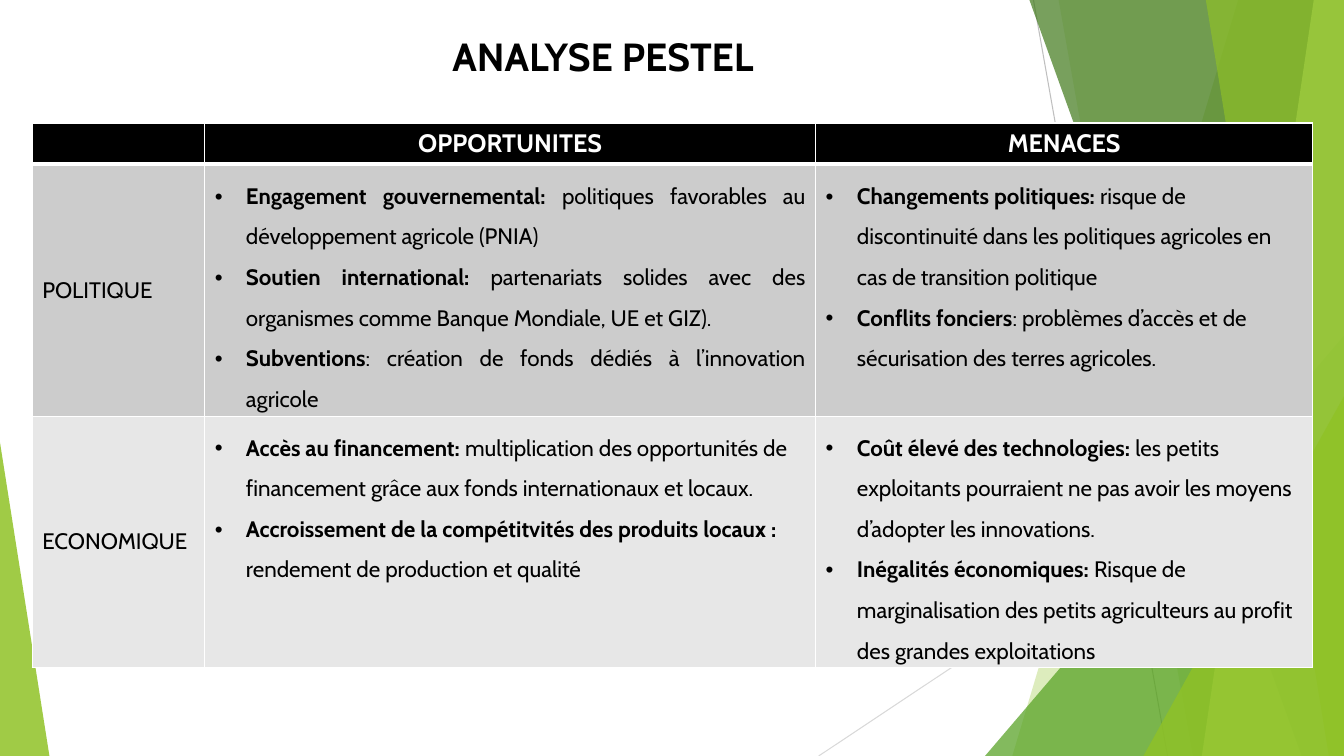
"""Build the ANALYSE PESTEL slide: a table of opportunities and threats over green facets."""
import pptx
import pptx.dml.color
import pptx.enum.shapes
import pptx.enum.text
import pptx.oxml.ns
import pptx.util
from lxml import etree

Inches = pptx.util.Inches
ALIGN = pptx.enum.text.PP_ALIGN
ANCHOR = pptx.enum.text.MSO_ANCHOR
SHAPES = pptx.enum.shapes.MSO_SHAPE

WIDTH, HEIGHT = 13.33, 7.5
FONT = "Cabin"
TITLE = "ANALYSE PESTEL"
HEADINGS = ["", "OPPORTUNITES", "MENACES"]
FACTORS = [
    {
        "name": "POLITIQUE", "fill": "CCCCCC", "align": ALIGN.JUSTIFY,
        "opportunities": [
            ("Engagement gouvernemental: ", "politiques favorables au développement agricole (PNIA)"),
            ("Soutien international: ",
             "partenariats solides avec des organismes comme Banque Mondiale, UE et GIZ)."),
            ("Subventions", ": création de fonds dédiés à l’innovation agricole"),
        ],
        "threats": [
            ("Changements politiques: ",
             "risque de discontinuité dans les politiques agricoles en cas de transition politique"),
            ("Conflits fonciers", ": problèmes d’accès et de sécurisation des terres agricoles."),
        ],
    },
    {
        "name": "ECONOMIQUE", "fill": "E7E7E7", "align": ALIGN.LEFT,
        "opportunities": [
            ("Accès au financement: ",
             "multiplication des opportunités de financement grâce aux fonds internationaux et locaux."),
            ("Accroissement de la compétitvités des produits locaux : ",
             "rendement de production et qualité"),
        ],
        "threats": [
            ("Coût élevé des technologies: ",
             "les petits exploitants pourraient ne pas avoir les moyens d’adopter les innovations."),
            ("Inégalités économiques: ",
             "Risque de marginalisation des petits agriculteurs au profit des grandes exploitations"),
        ],
    },
]
COLUMN_WIDTHS = [1.71, 6.06, 4.93]
ROW_HEIGHTS = [0.41, 2.49, 2.49]

RAYS = [((10.25, 0), (11.58, HEIGHT), "BFBFBF"), ((WIDTH, 4.03), (8.12, HEIGHT), "D9D9D9")]
FACETS = [
    {"top_x": 12.28, "bottom_x": 10.04, "color": "90C226", "opacity": 30},
    {"top_x": 10.5, "bottom_x": 11.83, "color": "90C226", "opacity": 20},
    {"box": (9.77, 3.33, 3.56), "apex": 1, "color": "54A021", "opacity": 72},
    {"top_x": 10.21, "bottom_x": 12.91, "color": "3F7819", "opacity": 70},
    {"top_x": 13.03, "bottom_x": 11.92, "color": "C0E474", "opacity": 70},
    {"top_x": 11.96, "bottom_x": 13.18, "color": "90C226", "opacity": 65},
    {"box": (11.34, 3.93, 1.99), "apex": 1, "color": "90C226", "opacity": 80},
    {"box": (0, 4.39, 0.49), "apex": 0, "color": "90C226", "opacity": 85},
]


def rgb(color):
    return pptx.dml.color.RGBColor.from_string(color)


def add_element(parent, tag, **attributes):
    return etree.SubElement(parent, pptx.oxml.ns.qn(tag), attributes)


def paint(part, color):
    part.fill.solid()
    part.fill.fore_color.rgb = rgb(color)


def write(frame, paragraphs, size=16, color="000000", align=ALIGN.LEFT, bullets=False):
    """Fill a text frame with paragraphs made of (text, bold) runs."""
    for index, runs in enumerate(paragraphs):
        paragraph = frame.add_paragraph() if index else frame.paragraphs[0]
        paragraph.alignment = align
        if bullets:
            paragraph.line_spacing = 1.5
            properties = paragraph._p.get_or_add_pPr()
            properties.set("marL", str(Inches(0.31)))
            properties.set("indent", str(-Inches(0.31)))
            add_element(properties, "a:buFont", typeface="Arial")
            add_element(properties, "a:buChar", char="•")
        for text, bold in runs:
            run = paragraph.add_run()
            run.text = text
            run.font.name = FONT
            run.font.size = pptx.util.Pt(size)
            run.font.bold = bold
            run.font.color.rgb = rgb(color)


def add_facet(shapes, facet):
    if "box" in facet:
        left, top, width = facet["box"]
        shape = shapes.add_shape(SHAPES.ISOSCELES_TRIANGLE, Inches(left), Inches(top),
                                 Inches(width), Inches(HEIGHT - top))
        shape.adjustments[0] = facet["apex"]
    else:
        corners = [(WIDTH, 0), (WIDTH, HEIGHT), (facet["bottom_x"], HEIGHT)]
        outline = shapes.build_freeform(Inches(facet["top_x"]), 0)
        outline.add_line_segments([(Inches(x), Inches(y)) for x, y in corners])
        shape = outline.convert_to_shape()
    shape.shadow.inherit = False
    shape.line.fill.background()
    paint(shape, facet["color"])
    tint = shape._element.spPr.find(".//" + pptx.oxml.ns.qn("a:srgbClr"))
    add_element(tint, "a:alpha", val=str(facet["opacity"] * 1000))


def add_ray(shapes, start, end, color):
    ray = shapes.add_connector(pptx.enum.shapes.MSO_CONNECTOR.STRAIGHT,
                               *[Inches(value) for value in start + end])
    ray.line.color.rgb = rgb(color)
    ray.line.width = pptx.util.Pt(0.75)
    add_element(ray._element.spPr, "a:effectLst")


def format_cell(cell, fill, bottom_width=1):
    properties = cell._tc.get_or_add_tcPr()
    for side, points in (("L", 1), ("R", 1), ("T", 1), ("B", bottom_width)):
        border = add_element(properties, "a:ln" + side, w=str(pptx.util.Pt(points)))
        add_element(add_element(border, "a:solidFill"), "a:srgbClr", val="FFFFFF")
    paint(cell, fill)


def add_pestel_table(shapes):
    frame = shapes.add_table(len(ROW_HEIGHTS), len(COLUMN_WIDTHS), Inches(0.32), Inches(1.22),
                             Inches(sum(COLUMN_WIDTHS)), Inches(sum(ROW_HEIGHTS)))
    table = frame.table
    table.horz_banding = False
    for column, width in zip(table.columns, COLUMN_WIDTHS):
        column.width = Inches(width)
    for row, height in zip(table.rows, ROW_HEIGHTS):
        row.height = Inches(height)

    for cell, heading in zip(table.rows[0].cells, HEADINGS):
        format_cell(cell, "000000", bottom_width=3)
        if heading:
            write(cell.text_frame, [[(heading, True)]], size=18, color="FFFFFF", align=ALIGN.CENTER)

    for row_index, factor in enumerate(FACTORS, start=1):
        name, opportunities, threats = table.rows[row_index].cells
        for cell in (name, opportunities, threats):
            format_cell(cell, factor["fill"])
        name.vertical_anchor = ANCHOR.MIDDLE
        write(name.text_frame, [[(factor["name"], False)]])
        for cell, key, align in ((opportunities, "opportunities", factor["align"]),
                                 (threats, "threats", ALIGN.LEFT)):
            points = [[(lead, True), (detail, False)] for lead, detail in factor[key]]
            write(cell.text_frame, points, align=align, bullets=True)


def main():
    deck = pptx.Presentation()
    deck.slide_width, deck.slide_height = Inches(WIDTH), Inches(HEIGHT)
    slide = deck.slides.add_slide(deck.slide_layouts[5])
    for start, end, color in RAYS:
        add_ray(slide.shapes, start, end, color)
    for facet in FACETS:
        add_facet(slide.shapes, facet)

    title = slide.shapes.title
    title.left, title.top = Inches(2.88), Inches(0.27)
    title.width, title.height = Inches(6.2), Inches(0.57)
    title.text_frame.auto_size = pptx.enum.text.MSO_AUTO_SIZE.SHAPE_TO_FIT_TEXT
    write(title.text_frame, [[(TITLE, True)]], size=28, align=ALIGN.CENTER)

    add_pestel_table(slide.shapes)
    deck.save("out.pptx")


if __name__ == "__main__":
    main()
